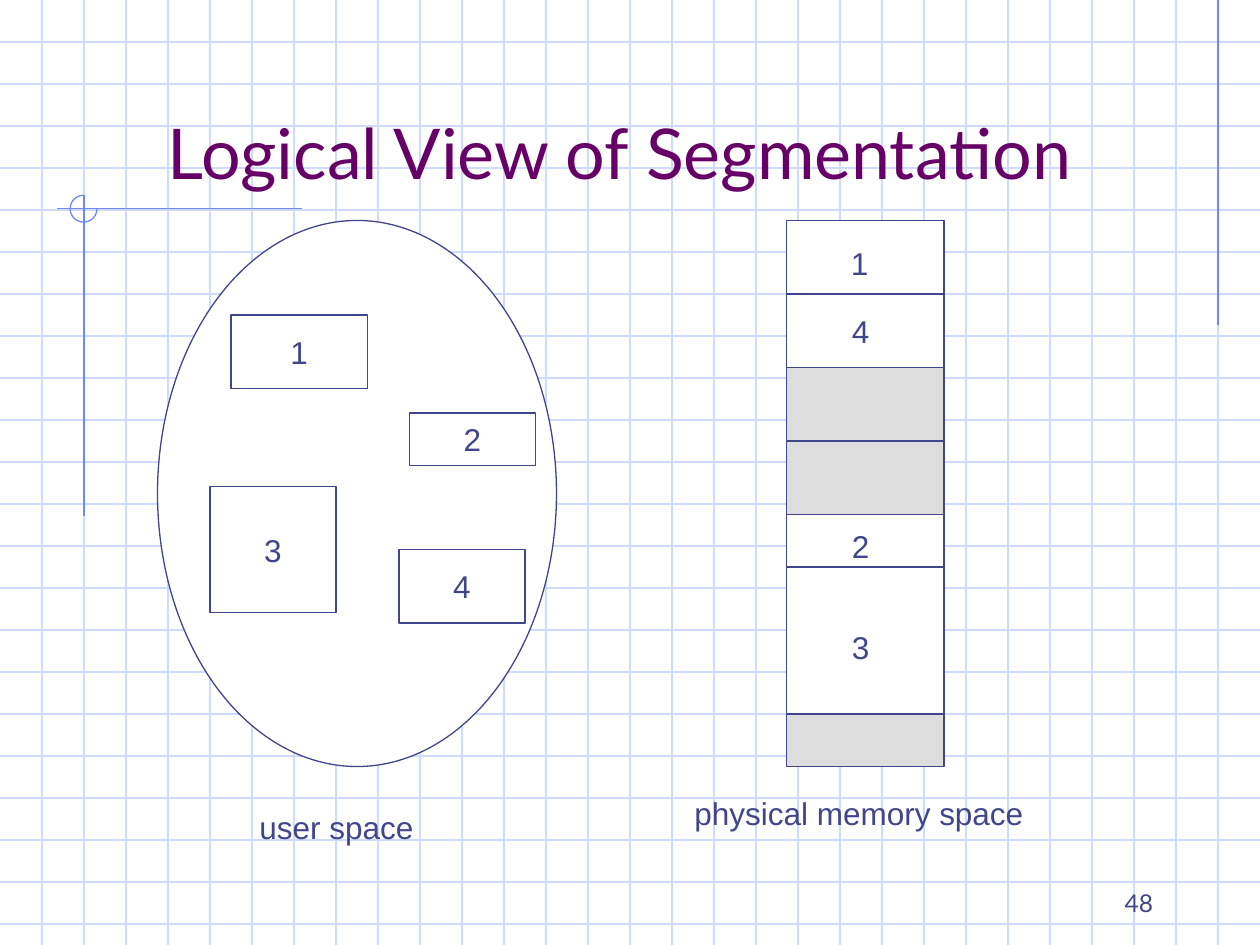
"""Build the slide on the logical view of segmentation, laid out in twelfths of an inch."""
import pptx
import pptx.dml.color
import pptx.enum.shapes
import pptx.enum.text
import pptx.oxml
import pptx.util

RGBColor = pptx.dml.color.RGBColor
Shape = pptx.enum.shapes.MSO_SHAPE
Align = pptx.enum.text.PP_ALIGN
Anchor = pptx.enum.text.MSO_ANCHOR

INK = RGBColor(0x40, 0x45, 0x8C)
PLUM = RGBColor(0x66, 0x00, 0x66)
GRID = RGBColor(0xCF, 0xDB, 0xFD)
ACCENT = RGBColor(0x6F, 0x89, 0xF7)
WHITE = RGBColor(0xFF, 0xFF, 0xFF)
GREY = RGBColor(0xDD, 0xDD, 0xDD)

UNIT = pptx.util.Inches(1) / 12
WIDTH, HEIGHT, GRID_STEP = 120, 90, 4

TITLE = ("Logical View of Segmentation", (8, 4, 102, 15))
PAGE_NUMBER = ("48", (86, 82, 25, 6))
ACCENT_LINES = [(116, 0, 116, 31), (28.8, 19.88, 5.4, 19.88), (8, 18.6, 8, 49.1)]
ACCENT_ARC = (6.68, 18.6, 2.56, 2.56)

USER_SPACE = (15, 21, 38, 52)
SEGMENTS = [
    ("1", (22, 30, 13, 7)),
    ("3", (20, 46.35, 12, 12)),
    ("2", (39, 39.35, 12, 5)),
    ("4", (38, 52.35, 12, 7)),
]

MEMORY_LEFT, MEMORY_TOP, MEMORY_WIDTH = 74.9, 21, 15
MEMORY_BLOCKS = [(14, WHITE, True), (14, GREY, True), (19, WHITE, False), (5, GREY, False)]
SEGMENT_2_BOTTOM = 54
LABEL_HEIGHT = 4.84
LABELS = [
    ("user space", 32.05, 78.75, 18),
    ("1", 81.85, 25, 4),
    ("4", 81.95, 31.5, 4),
    ("2", 81.95, 52, 4),
    ("3", 81.95, 61.6, 4),
    ("physical memory space", 81.8, 77.4, 34),
]


def scaled(lengths):
    return [round(length * UNIT) for length in lengths]


def write(frame, text, size=18, font="Arial", color=INK, align=Align.CENTER,
          anchor=Anchor.MIDDLE, wrap=False):
    frame.word_wrap = wrap
    frame.vertical_anchor = anchor
    paragraph = frame.paragraphs[0]
    paragraph.alignment = align
    run = paragraph.add_run()
    run.text = text
    run.font.size = pptx.util.Pt(size)
    run.font.name = font
    run.font.color.rgb = color


def add_text(slide, text, box, **style):
    write(slide.shapes.add_textbox(*scaled(box)).text_frame, text, **style)


def add_outline(slide, kind, box, fill=WHITE, line=INK):
    outline = slide.shapes.add_shape(kind, *scaled(box))
    outline.shadow.inherit = False
    if fill is None:
        outline.fill.background()
    else:
        outline.fill.solid()
        outline.fill.fore_color.rgb = fill
    outline.line.color.rgb = line
    outline.line.width = pptx.util.Pt(0.75)
    return outline


def add_line(slide, ends, color=INK):
    line = slide.shapes.add_connector(pptx.enum.shapes.MSO_CONNECTOR.STRAIGHT, *scaled(ends))
    line.line.color.rgb = color
    line.line.width = pptx.util.Pt(0.75)
    line._element.spPr.append(pptx.oxml.parse_xml(
        '<a:effectLst xmlns:a="http://schemas.openxmlformats.org/drawingml/2006/main"/>'))
    return line


def add_background(slide):
    for y in range(GRID_STEP, HEIGHT, GRID_STEP):
        add_line(slide, (0, y, WIDTH, y), GRID)
    for x in range(GRID_STEP, WIDTH, GRID_STEP):
        add_line(slide, (x, 0, x, HEIGHT), GRID)
    for ends in ACCENT_LINES:
        add_line(slide, ends, ACCENT)
    arc = add_outline(slide, Shape.ARC, ACCENT_ARC, None, ACCENT)
    arc.adjustments[0] = 0
    arc.adjustments[1] = 270 * 0.6


def add_user_space(slide):
    add_outline(slide, Shape.OVAL, USER_SPACE)
    for name, box in SEGMENTS:
        write(add_outline(slide, Shape.RECTANGLE, box).text_frame, name)


def add_memory(slide):
    right = MEMORY_LEFT + MEMORY_WIDTH
    top = MEMORY_TOP
    for height, fill, halved in MEMORY_BLOCKS:
        block = add_outline(slide, Shape.RECTANGLE, (MEMORY_LEFT, top, MEMORY_WIDTH, height), fill)
        if halved:
            middle = top + height / 2
            divider = add_line(slide, (MEMORY_LEFT, middle, right, middle))
            divider.begin_connect(block, 1)
            divider.end_connect(block, 3)
        top += height
    add_line(slide, (MEMORY_LEFT, SEGMENT_2_BOTTOM, right, SEGMENT_2_BOTTOM))


def main():
    deck = pptx.Presentation()
    deck.slide_width, deck.slide_height = scaled((WIDTH, HEIGHT))
    slide = deck.slides.add_slide(deck.slide_layouts[6])
    add_background(slide)
    add_text(slide, *TITLE, size=40, font="Lato", color=PLUM, anchor=Anchor.BOTTOM, wrap=True)
    add_user_space(slide)
    add_memory(slide)
    for text, center, middle, width in LABELS:
        add_text(slide, text, (center - width / 2, middle - LABEL_HEIGHT / 2, width, LABEL_HEIGHT))
    add_text(slide, *PAGE_NUMBER, size=14, font="Lato", align=Align.RIGHT,
             anchor=Anchor.BOTTOM, wrap=True)
    deck.save("out.pptx")


if __name__ == "__main__":
    main()
